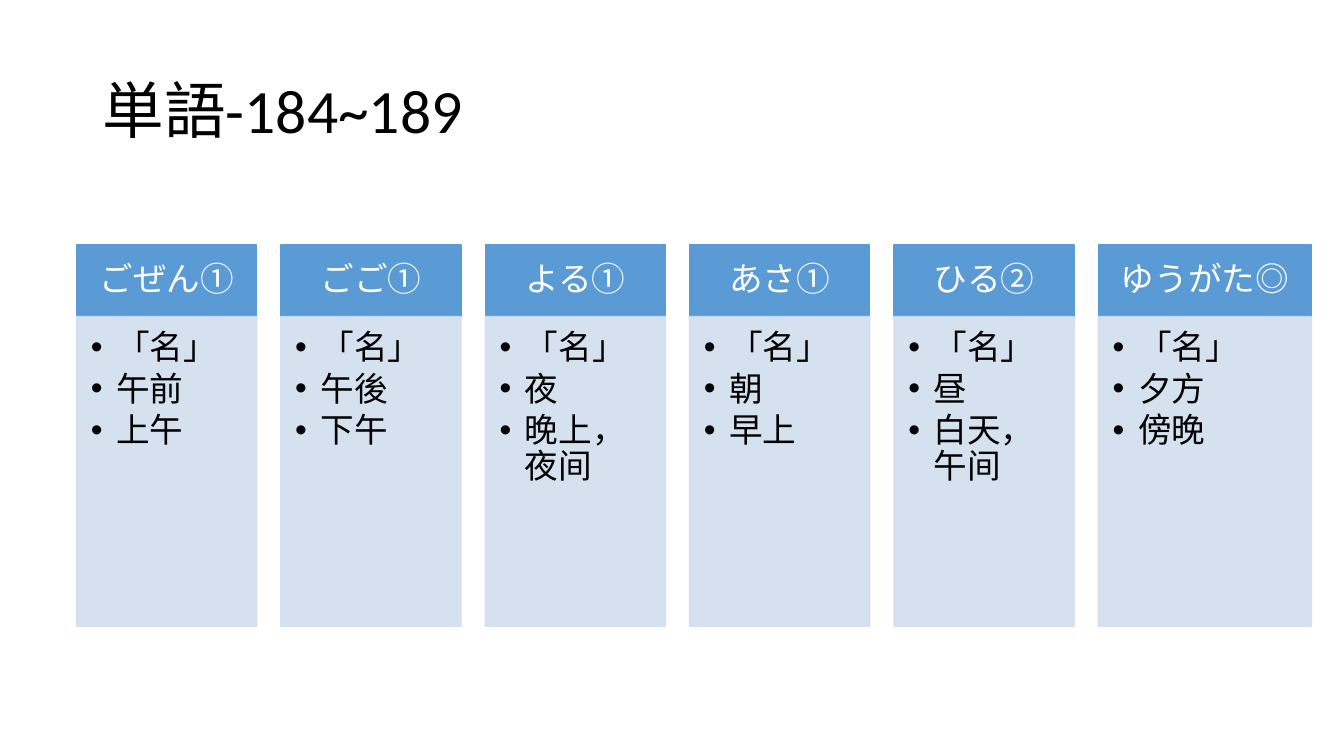
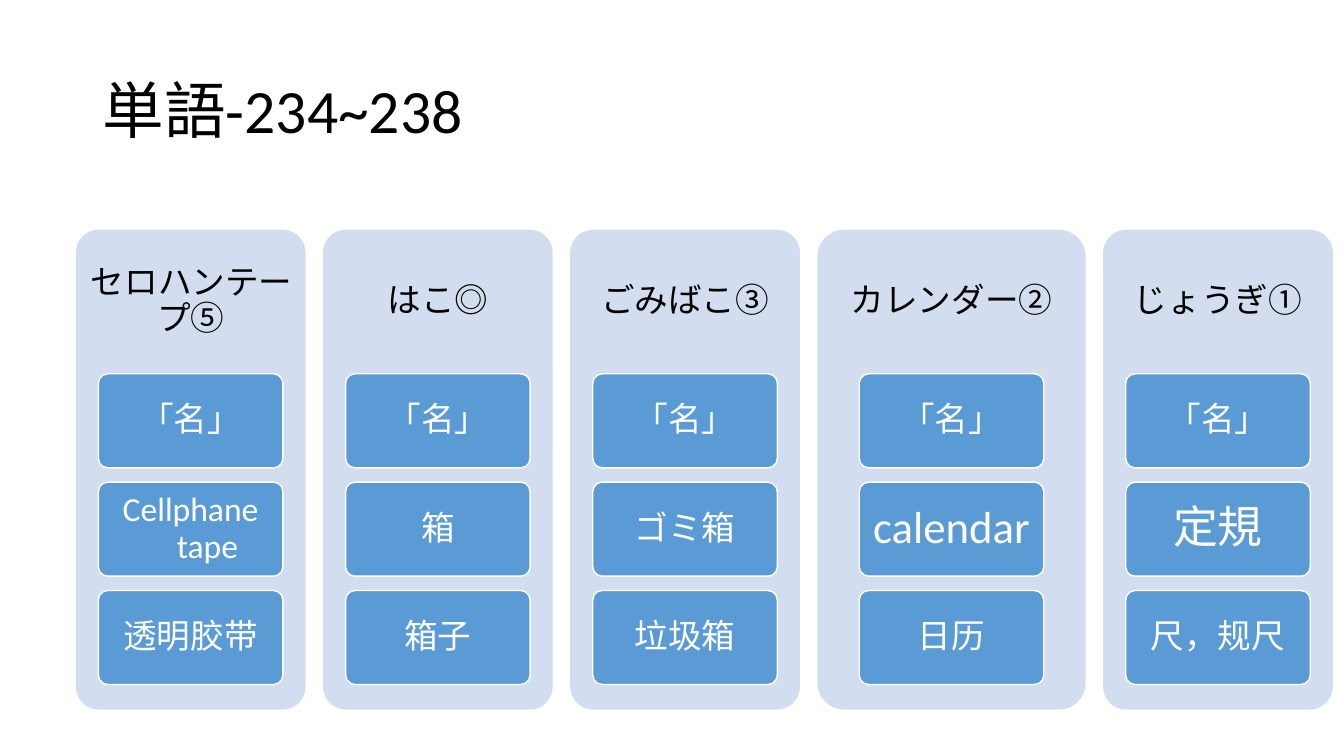
import pptx
import pptx.dml.color
import pptx.enum.shapes
import pptx.enum.text
import pptx.oxml
import pptx.oxml.ns
import pptx.util

Cm = pptx.util.Cm
Pt = pptx.util.Pt
SHAPES = pptx.enum.shapes.MSO_SHAPE
ALIGN = pptx.enum.text.PP_ALIGN
ANCHOR = pptx.enum.text.MSO_ANCHOR
NAMESPACE = pptx.oxml.ns.nsdecls("a")

FONT = "Calibri"
BLACK, WHITE = "000000", "FFFFFF"
BLUE, PALE = "5B9BD5", "D2DEEF"


def color(hex_text):
    return pptx.dml.color.RGBColor.from_string(hex_text)


def add_block(page, kind, place, fill, line, lines, ink, insets, size=24, bullets=False):
    shape = page.shapes.add_shape(kind, *[Cm(length) for length in place])
    shape.shadow.inherit = False
    shape.fill.solid()
    shape.fill.fore_color.rgb = color(fill)
    if line:
        shape.line.color.rgb = color(line)
        shape.line.width = Pt(1)
    else:
        shape.line.fill.background()
    if kind == SHAPES.ROUNDED_RECTANGLE:
        shape.adjustments[0] = 0.1
    box = shape.text_frame
    box.word_wrap = True
    box.vertical_anchor = ANCHOR.TOP if bullets else ANCHOR.MIDDLE
    box.margin_left, box.margin_top, box.margin_right, box.margin_bottom = [
        Cm(inset) for inset in insets
    ]
    for index, text in enumerate(lines):
        para = box.paragraphs[0] if index == 0 else box.add_paragraph()
        para.alignment = ALIGN.LEFT if bullets else ALIGN.CENTER
        para.line_spacing = 0.9
        if bullets:
            para.space_after = Pt(3.6)
            properties = para._p.get_or_add_pPr()
            properties.set("marL", str(Cm(0.64)))
            properties.set("indent", str(-Cm(0.64)))
            properties.append(pptx.oxml.parse_xml(f'<a:buFont {NAMESPACE} typeface="Arial"/>'))
            properties.append(pptx.oxml.parse_xml(f'<a:buChar {NAMESPACE} char="•"/>'))
        span = para.add_run()
        span.text = text
        span.font.name = FONT
        span.font.size = Pt(size)
        span.font.color.rgb = color(ink)
    return shape


deck = pptx.Presentation()
deck.slide_width = Cm(33.87)
deck.slide_height = Cm(19.05)

pages = []
for heading in ["単語-184~189", "単語-234~238"]:
    page = deck.slides.add_slide(deck.slide_layouts[5])
    title = page.shapes.title
    title.left, title.top, title.width, title.height = Cm(2.33), Cm(1.01), Cm(29.21), Cm(3.68)
    title.text_frame.vertical_anchor = ANCHOR.MIDDLE
    para = title.text_frame.paragraphs[0]
    para.alignment = ALIGN.LEFT
    para.line_spacing = 0.9
    span = para.add_run()
    span.text = heading
    span.font.name = FONT
    span.font.size = Pt(44)
    span.font.color.rgb = color(BLACK)
    pages.append(page)
time_page, object_page = pages

time_words = [
    ("ごぜん①", 4.54, ["「名」", "午前", "上午"]),
    ("ごご①", 4.54, ["「名」", "午後", "下午"]),
    ("よる①", 4.54, ["「名」", "夜", "晚上，夜间"]),
    ("あさ①", 4.54, ["「名」", "朝", "早上"]),
    ("ひる②", 4.54, ["「名」", "昼", "白天，午间"]),
    ("ゆうがた◎", 5.37, ["「名」", "夕方", "傍晚"]),
]
left = 1.93
for reading, width, meanings in time_words:
    add_block(time_page, SHAPES.RECTANGLE, (left, 6.17, width, 1.81), BLUE, BLUE,
              [reading], WHITE, (0.48, 0.28, 0.48, 0.28))
    panel = add_block(time_page, SHAPES.RECTANGLE, (left, 7.98, width, 7.8), PALE, PALE,
                      meanings, BLACK, (0.36, 0.36, 0.48, 0.53), bullets=True)
    for tint in panel.element.spPr.iter(pptx.oxml.ns.qn("a:srgbClr")):
        tint.append(pptx.oxml.parse_xml(f'<a:alpha {NAMESPACE} val="90000"/>'))
    left += width + 0.61

object_words = [
    ("セロハンテープ⑤", 5.79, [("「名」", 24), ("Cellphane　tape", 24), ("透明胶带", 24)]),
    ("はこ◎", 5.79, [("「名」", 24), ("箱", 24), ("箱子", 24)]),
    ("ごみばこ③", 5.79, [("「名」", 24), ("ゴミ箱", 24), ("垃圾箱", 24)]),
    ("カレンダー②", 6.76, [("「名」", 24), ("calendar", 32), ("日历", 24)]),
    ("じょうぎ①", 5.79, [("「名」", 24), ("定規", 32), ("尺，规尺", 24)]),
]
card_width = 4.65
left = 1.91
for reading, width, cards in object_words:
    add_block(object_page, SHAPES.ROUNDED_RECTANGLE, (left, 5.79, width, 12.09), PALE, None,
              [reading], BLACK, (0.08, 0.08, 0.08, 8.54))
    card_left = left + (width - card_width) / 2
    for row, (text, size) in enumerate(cards):
        add_block(object_page, SHAPES.ROUNDED_RECTANGLE,
                  (card_left, 9.42 + row * 2.73, card_width, 2.37), BLUE, WHITE,
                  [text], WHITE, (0.18, 0.13, 0.18, 0.13), size)
    left += width + 0.44

deck.save("out.pptx")
